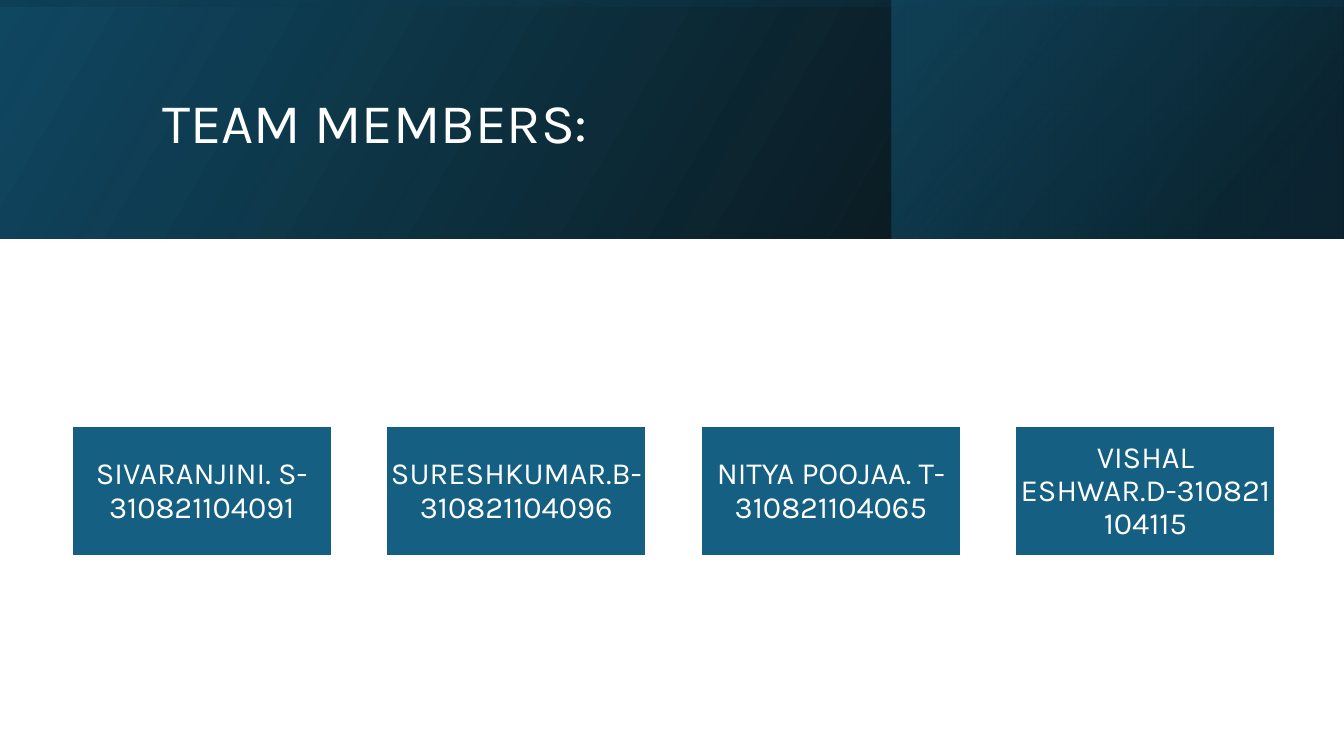
from lxml import etree
from pptx import Presentation
from pptx.dml.color import RGBColor
from pptx.enum.shapes import MSO_SHAPE
from pptx.enum.text import MSO_ANCHOR, PP_ALIGN
from pptx.oxml.ns import qn
from pptx.util import Inches, Pt

RECT = MSO_SHAPE.RECTANGLE
MIDDLE = MSO_ANCHOR.MIDDLE
LEFT, CENTER = PP_ALIGN.LEFT, PP_ALIGN.CENTER


def color(hex_value):
    return RGBColor.from_string(hex_value)


class TeamSlide:
    font = "Karla"
    white = "FFFFFF"
    teal = "156082"
    deep_teal = "104862"
    navy = "0B3041"
    black = "000000"

    def __init__(self, prs):
        self.slide = prs.slides.add_slide(prs.slide_layouts[6])
        background = self.slide.background.fill
        background.solid()
        background.fore_color.rgb = color(self.white)

    def rectangle(self, left, top, width, height):
        rect = self.slide.shapes.add_shape(
            RECT, Inches(left), Inches(top), Inches(width), Inches(height))
        rect.shadow.inherit = False
        return rect

    def gradient_band(self, left, top, width, height, stops, angle, rotation=0):
        """Mirrored rectangle; each stop is (position %, colour, opacity %)."""
        band = self.rectangle(left, top, width, height)
        band.line.fill.background()
        band.rotation = rotation
        properties = band._element.spPr
        properties.find(qn("a:xfrm")).set("flipH", "1")
        gradient = etree.Element(qn("a:gradFill"), rotWithShape="1")
        stop_list = etree.SubElement(gradient, qn("a:gsLst"))
        for position, hex_value, opacity in stops:
            stop = etree.SubElement(stop_list, qn("a:gs"), pos=str(position * 1000))
            tint = etree.SubElement(stop, qn("a:srgbClr"), val=hex_value)
            etree.SubElement(tint, qn("a:alpha"), val=str(opacity * 1000))
        etree.SubElement(gradient, qn("a:lin"), ang=str(angle * 60000), scaled="0")
        properties.find(qn("a:prstGeom")).addnext(gradient)

    def set_text(self, shape, text, size, align):
        frame = shape.text_frame
        frame.word_wrap = True
        frame.vertical_anchor = MIDDLE
        frame.text = text
        paragraph = frame.paragraphs[0]
        paragraph.alignment = align
        paragraph.line_spacing = 0.9
        font = paragraph.runs[0].font
        font.name = self.font
        font.size = Pt(size)
        font.color.rgb = color(self.white)

    def title(self, text, left, top, width, height):
        heading = self.slide.shapes.add_textbox(
            Inches(left), Inches(top), Inches(width), Inches(height))
        self.set_text(heading, text, 40, LEFT)

    def member_card(self, text, left, top, width, height):
        card = self.rectangle(left, top, width, height)
        card.fill.solid()
        card.fill.fore_color.rgb = color(self.teal)
        card.line.color.rgb = color(self.white)
        card.line.width = Pt(1.5)
        frame = card.text_frame
        frame.margin_left = frame.margin_right = Inches(0.02)
        frame.margin_top = frame.margin_bottom = Inches(0.02)
        self.set_text(card, text, 22, CENTER)


def main():
    prs = Presentation()
    prs.slide_width, prs.slide_height = Inches(13.33), Inches(7.5)
    team = TeamSlide(prs)

    # Header: base band, right-hand panel, then a darkening layer turned sideways
    team.gradient_band(0, 0, 13.33, 2.37,
                       [(0, team.black, 96), (100, team.deep_teal, 100)], 330)
    team.gradient_band(8.84, 0, 4.48, 2.37,
                       [(19, team.navy, 68), (100, team.teal, 48)], 320)
    team.gradient_band(5.48, -5.48, 2.37, 13.33,
                       [(23, team.deep_teal, 16), (99, team.black, 45)], 350, 270)
    team.title("TEAM MEMBERS:", 1.51, 0.38, 10.63, 1.72)

    # Row of member cards
    members = [
        "SIVARANJINI. S- 310821104091",
        "SURESHKUMAR.B- 310821104096",
        "NITYA POOJAA. T- 310821104065",
        "VISHAL ESHWAR.D-310821104115",
    ]
    for column, member in enumerate(members):
        team.member_card(member, 0.71 + 3.12 * column, 4.23, 2.58, 1.29)

    prs.save("out.pptx")


if __name__ == "__main__":
    main()
